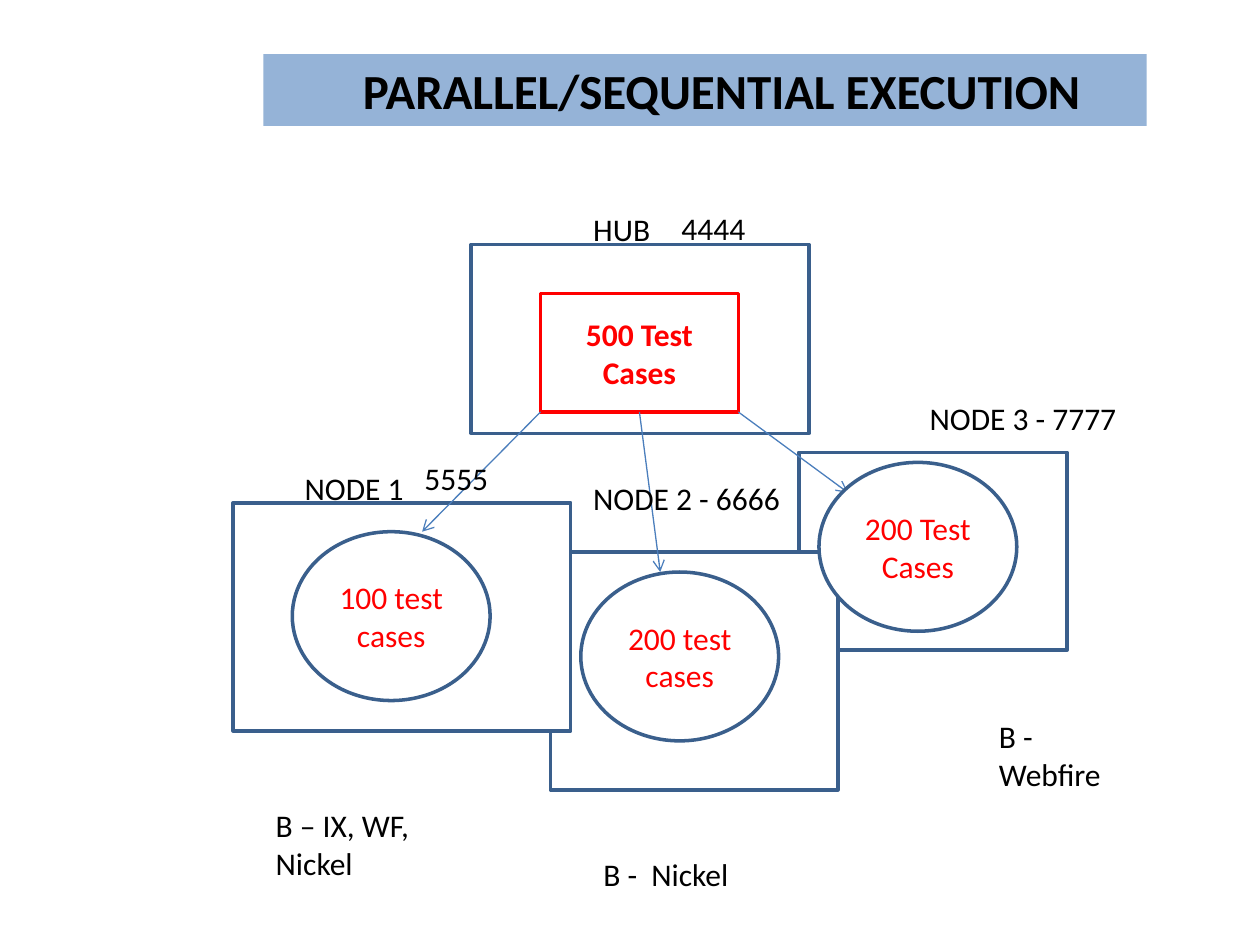
from dataclasses import dataclass

from lxml.etree import SubElement
from pptx import Presentation
from pptx.dml.color import RGBColor as RGB
from pptx.enum.shapes import MSO_CONNECTOR as CONN, MSO_SHAPE as SHAPE
from pptx.enum.text import MSO_ANCHOR as ANCHOR, MSO_AUTO_SIZE as AUTO, PP_ALIGN as ALIGN
from pptx.oxml.ns import qn
from pptx.util import Inches, Pt


@dataclass(frozen=True)
class Theme:
    font: str = "Calibri"
    title_size: int = 28
    body_size: int = 18
    band: RGB = RGB(0x95, 0xB3, 0xD7)
    paper: RGB = RGB(0xFF, 0xFF, 0xFF)
    ink: RGB = RGB(0x00, 0x00, 0x00)
    border: RGB = RGB(0x3A, 0x5F, 0x8C)
    arrow: RGB = RGB(0x4B, 0x7E, 0xBC)
    accent: RGB = RGB(0xFF, 0x00, 0x00)
    border_width: float = 2
    arrow_width: float = 0.75


class SlideBuilder:
    def __init__(self, slide, theme):
        self.slide = slide
        self.shapes = slide.shapes
        self.theme = theme

    def set_text(self, tf, text, size, color, align=ALIGN.LEFT, bold=False):
        tf.text = text
        for p in tf.paragraphs:
            p.alignment = align
            for r in p.runs:
                r.font.name = self.theme.font
                r.font.size = Pt(size)
                r.font.bold = bold
                r.font.color.rgb = color

    def title(self, text, left, top, width, height, indent):
        sp = self.shapes.title
        sp.left, sp.top = Inches(left), Inches(top)
        sp.width, sp.height = Inches(width), Inches(height)
        sp.fill.solid()
        sp.fill.fore_color.rgb = self.theme.band
        tf = sp.text_frame
        tf.auto_size = AUTO.NONE
        tf.vertical_anchor = ANCHOR.TOP
        tf.margin_left = Inches(indent)
        self.set_text(tf, text, self.theme.title_size, self.theme.ink, bold=True)

    def shape(self, kind, left, top, width, height, text="", line=None, bold=False):
        sp = self.shapes.add_shape(
            kind, Inches(left), Inches(top), Inches(width), Inches(height))
        sp.shadow.inherit = False
        sp.fill.solid()
        sp.fill.fore_color.rgb = self.theme.paper
        sp.line.color.rgb = line or self.theme.border
        sp.line.width = Pt(self.theme.border_width)
        if text:
            tf = sp.text_frame
            tf.vertical_anchor = ANCHOR.MIDDLE
            self.set_text(tf, text, self.theme.body_size, self.theme.accent,
                          ALIGN.CENTER, bold)

    def arrow(self, x1, y1, x2, y2):
        cn = self.shapes.add_connector(
            CONN.STRAIGHT, Inches(x1), Inches(y1), Inches(x2), Inches(y2))
        cn.line.color.rgb = self.theme.arrow
        cn.line.width = Pt(self.theme.arrow_width)
        sp_pr = cn._element.spPr
        SubElement(sp_pr.find(qn("a:ln")), qn("a:tailEnd"), type="arrow")
        SubElement(sp_pr, qn("a:effectLst"))

    def label(self, text, left, top, width, height=0.4, wrap=False):
        sp = self.shapes.add_textbox(
            Inches(left), Inches(top), Inches(width), Inches(height))
        tf = sp.text_frame
        tf.word_wrap = wrap
        tf.auto_size = AUTO.SHAPE_TO_FIT_TEXT
        self.set_text(tf, text, self.theme.body_size, self.theme.ink)


MACHINES = [
    (6.34, 3.59, 2.13, 1.57),
    (4.37, 4.38, 2.28, 1.89),
    (1.85, 3.99, 2.68, 1.81),
    (3.74, 1.94, 2.68, 1.5),
]
SUITE = (4.29, 2.33, 1.57, 0.94)
BATCH_SIZE = (1.57, 1.34)
BATCHES = [
    ("100 test cases", 2.32, 4.22),
    ("200 test cases", 4.61, 4.54),
    ("200 Test Cases", 6.5, 3.67),
]
ARROW_TIPS = [(3.35, 4.22), (5.24, 4.54), (6.73, 3.91)]
LABELS = [
    ("HUB", 4.61, 1.62, 0.66),
    ("NODE 1", 2.32, 3.67, 1),
    ("NODE 2 - 6666", 4.61, 3.75, 1.7),
    ("NODE 3 - 7777", 7.28, 3.12, 1.7),
    ("4444", 5.31, 1.61, 0.71),
    ("5555", 3.27, 3.59, 0.71),
    ("B -  Nickel", 4.69, 6.74, 1.4),
    ("B - Webfire", 7.83, 5.64, 1.22),
]


def main():
    prs = Presentation()
    prs.slide_width, prs.slide_height = Inches(10), Inches(7.5)
    theme = Theme()
    s = SlideBuilder(prs.slides.add_slide(prs.slide_layouts[5]), theme)

    s.title("PARALLEL/SEQUENTIAL EXECUTION", 2.09, 0.43, 7.01, 0.57, indent=0.79)
    for machine in MACHINES:
        s.shape(SHAPE.RECTANGLE, *machine)
    s.shape(SHAPE.RECTANGLE, *SUITE, "500 Test Cases", theme.accent, bold=True)

    left, top, width, height = SUITE
    for i, tip in enumerate(ARROW_TIPS):
        s.arrow(left + i * width / 2, top + height, *tip)
    for text, x, y in BATCHES:
        s.shape(SHAPE.OVAL, x, y, *BATCH_SIZE, text)
    for label in LABELS:
        s.label(*label)
    s.label("B – IX, WF, Nickel", 2.09, 6.35, 1.73, 0.71, wrap=True)

    prs.save("out.pptx")


if __name__ == "__main__":
    main()
